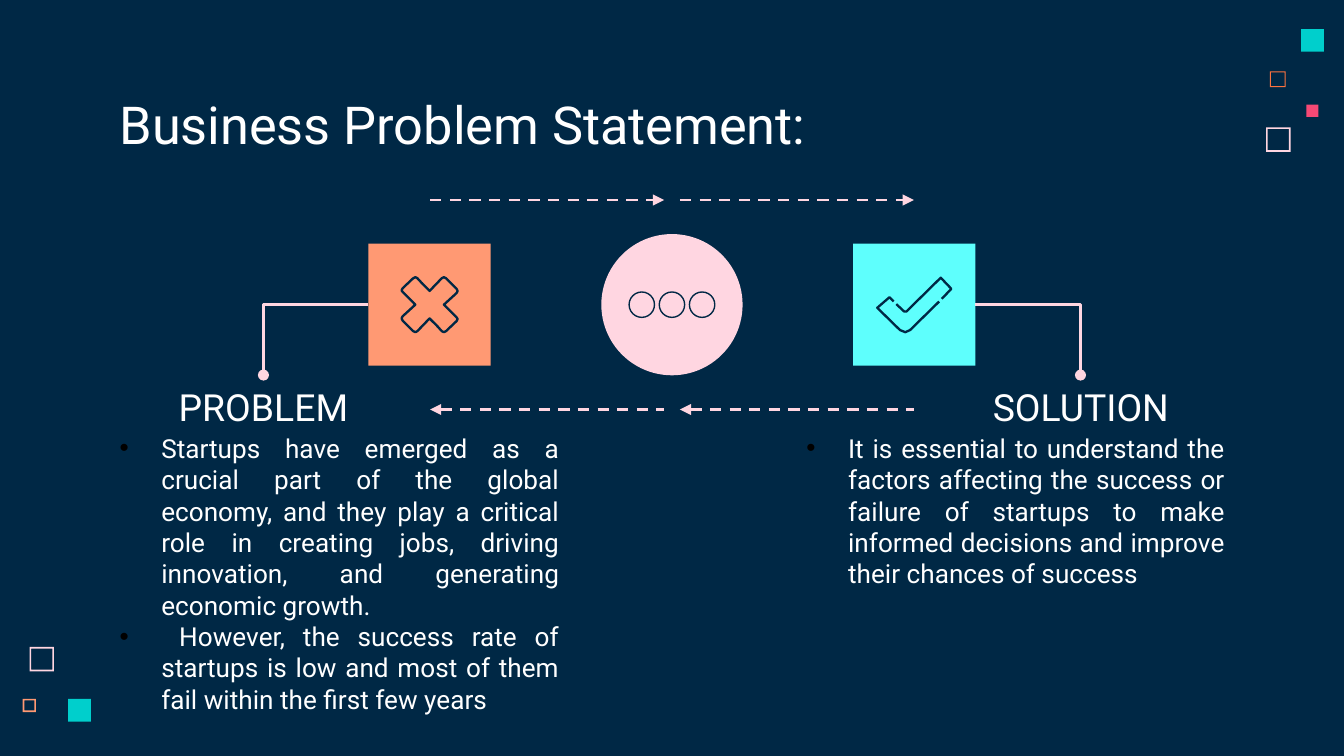
from dataclasses import dataclass

from lxml.etree import SubElement
from pptx import Presentation
from pptx.dml.color import RGBColor
from pptx.enum.dml import MSO_LINE
from pptx.enum.shapes import MSO_CONNECTOR as Link, MSO_SHAPE as Preset
from pptx.enum.text import MSO_ANCHOR as Anchor, MSO_AUTO_SIZE as AutoSize, PP_ALIGN as Align
from pptx.oxml.ns import qn
from pptx.util import Cm, Pt


@dataclass(frozen=True)
class Theme:
    font: str = "Roboto"
    navy: str = "002845"
    white: str = "FFFFFF"
    black: str = "000000"
    pink: str = "FFD6E1"
    coral: str = "FF9973"
    orange: str = "FC723F"
    aqua: str = "5EFFFD"
    teal: str = "00CFCC"
    rose: str = "F64975"
    title_size: float = 28
    heading_size: float = 20
    body_size: float = 14
    flow_line: float = 1.5
    icon_line: float = 1.25
    dot_line: float = 0.75


@dataclass(frozen=True)
class Box:
    left: float
    top: float
    width: float
    height: float

    @property
    def center(self):
        return self.left + self.width / 2, self.top + self.height / 2

    def emu(self):
        return Cm(self.left), Cm(self.top), Cm(self.width), Cm(self.height)


THEME = Theme()
INSET = 0.25
BULLET_INDENT = 0.79
CROSS_HALF = [
    (-0.15, -0.41), (0, -0.26), (0.23, -0.5), (0.27, -0.52), (0.31, -0.5),
    (0.51, -0.3), (0.53, -0.26), (0.51, -0.22), (0.27, 0), (0.51, 0.24),
    (0.53, 0.27), (0.51, 0.31), (0.31, 0.5), (0.27, 0.52), (0.23, 0.5), (0.14, 0.4),
]
CROSS = [CROSS_HALF, [(-x, -y) for x, y in CROSS_HALF]]
CHECK = [
    [(-0.39, -0.06), (-0.47, -0.14), (-0.7, 0.06), (-0.27, 0.48),
     (-0.17, 0.52), (-0.08, 0.48), (0.47, -0.06)],
    [(-0.34, -0.01), (-0.19, 0.13), (-0.15, 0.13), (0.5, -0.51), (0.7, -0.3), (0.52, -0.11)],
]


def rgb(color):
    return RGBColor.from_string(color)


def square_at(x, y, side):
    return Box(x - side / 2, y - side / 2, side, side)


def paint(shape, fill=None, line=None, weight=1):
    shape.shadow.inherit = False
    if fill:
        shape.fill.solid()
        shape.fill.fore_color.rgb = rgb(fill)
    else:
        shape.fill.background()
    if line:
        shape.line.color.rgb = rgb(line)
        shape.line.width = Pt(weight)
    else:
        shape.line.fill.background()


def add_preset(slide, preset, box, **look):
    shape = slide.shapes.add_shape(preset, *box.emu())
    paint(shape, **look)
    return shape


def write(frame, paragraphs, size, color=THEME.white, align=Align.LEFT, anchor=Anchor.TOP, bullet=None):
    frame.word_wrap = True
    frame.auto_size = AutoSize.NONE
    frame.vertical_anchor = anchor
    frame.margin_left = frame.margin_right = frame.margin_top = frame.margin_bottom = Cm(INSET)
    for index, words in enumerate(paragraphs):
        paragraph = frame.add_paragraph() if index else frame.paragraphs[0]
        paragraph.alignment = align
        run = paragraph.add_run()
        run.text = words
        run.font.name = THEME.font
        run.font.size = Pt(size)
        run.font.color.rgb = rgb(color)
        if bullet:
            properties = paragraph._p.get_or_add_pPr()
            properties.set("marL", str(Cm(BULLET_INDENT)))
            properties.set("indent", str(-Cm(BULLET_INDENT)))
            SubElement(SubElement(properties, qn("a:buClr")), qn("a:srgbClr"), val=bullet)
            SubElement(properties, qn("a:buFont"), typeface="Arial")
            SubElement(properties, qn("a:buChar"), char="•")


def add_link(slide, kind, start, end, head=None, tail=None, dashed=False):
    link = slide.shapes.add_connector(kind, *map(Cm, start + end))
    link.line.color.rgb = rgb(THEME.pink)
    link.line.width = Pt(THEME.flow_line)
    if dashed:
        link.line.dash_style = MSO_LINE.DASH
    outline = link.line._get_or_add_ln()
    for tag, tip in (("a:headEnd", head), ("a:tailEnd", tail)):
        if tip:
            SubElement(outline, qn(tag), type=tip)
    properties = link._element.spPr
    SubElement(properties, qn("a:effectLst"))
    if kind == Link.ELBOW:
        properties.find(qn("a:prstGeom")).set("prst", "bentConnector2")


def title_region(slide, box, words):
    title = slide.shapes.title
    title.left, title.top, title.width, title.height = box.emu()
    write(title.text_frame, [words], size=THEME.title_size)


def corner_squares(slide, box, squares):
    for x, y, side, color, rim in squares:
        place = Box(box.left + x, box.top + y, side, side)
        square = add_preset(slide, Preset.FRAME if rim else Preset.RECTANGLE, place, fill=color)
        if rim:
            square.adjustments[0] = rim / side


def icon_tile(slide, box, color, strokes):
    add_preset(slide, Preset.RECTANGLE, box, fill=color)
    x, y = box.center
    for stroke in strokes:
        points = [(Cm(x + dx), Cm(y + dy)) for dx, dy in stroke]
        builder = slide.shapes.build_freeform(*points[0])
        builder.add_line_segments(points[1:], close=False)
        outline = builder.convert_to_shape()
        paint(outline, line=THEME.navy, weight=THEME.icon_line)
        SubElement(outline.line._get_or_add_ln(), qn("a:round"))


def waiting_circle(slide, box):
    add_preset(slide, Preset.OVAL, box, fill=THEME.pink)
    x, y = box.center
    for step in (-1, 0, 1):
        add_preset(slide, Preset.OVAL, square_at(x + step * 0.57, y, 0.48),
                   line=THEME.navy, weight=THEME.dot_line)


def flow_diagram(slide, box):
    x, y = box.center
    tile_side, tile_offset, arrow_length, arrow_gap, drop = 2.31, 4.58, 4.42, 0.15, 1.33
    for row, tips in ((box.top, {"tail": "triangle"}), (box.top + box.height, {"head": "triangle"})):
        for start in (x - arrow_gap - arrow_length, x + arrow_gap):
            add_link(slide, Link.STRAIGHT, (start, row), (start + arrow_length, row), dashed=True, **tips)
    waiting_circle(slide, square_at(x, y, 2.67))
    for side, color, strokes in ((-1, THEME.coral, CROSS), (1, THEME.aqua, CHECK)):
        icon_tile(slide, square_at(x + side * tile_offset, y, tile_side), color, strokes)
        edge = x + side * (tile_offset + tile_side / 2)
        add_link(slide, Link.ELBOW, (edge, y), (x + side * box.width / 2, y + drop), tail="oval")


def statement_column(slide, box, heading, points, heading_on_right=False):
    heading_width, heading_height, body_offset = 5.94, 1.27, 0.83
    heading_left = box.left + (box.width - heading_width if heading_on_right else 0)
    heading_box = Box(heading_left, box.top, heading_width, heading_height)
    body_box = Box(box.left, box.top + body_offset, box.width, box.height - body_offset)
    write(slide.shapes.add_textbox(*heading_box.emu()).text_frame, [heading],
          size=THEME.heading_size, align=Align.CENTER, anchor=Anchor.BOTTOM)
    write(slide.shapes.add_textbox(*body_box.emu()).text_frame, points,
          size=THEME.body_size, align=Align.JUSTIFY, bullet=THEME.black)


def main():
    deck = Presentation()
    deck.slide_width, deck.slide_height = Cm(25.4), Cm(14.29)
    slide = deck.slides.add_slide(deck.slide_layouts[5])
    slide.background.fill.solid()
    slide.background.fill.fore_color.rgb = rgb(THEME.navy)

    corner_squares(slide, Box(23.93, 0.55, 1.09, 2.33), [
        (0, 1.86, 0.46, THEME.pink, 0.03),
        (0.07, 0.8, 0.3, THEME.orange, 0.02),
        (0.66, 0, 0.43, THEME.teal, 0),
        (0.76, 1.43, 0.23, THEME.rose, 0),
    ])
    corner_squares(slide, Box(0.43, 12.23, 1.3, 1.41), [
        (0, 0.98, 0.25, THEME.coral, 0.03),
        (0.13, 0, 0.46, THEME.pink, 0.03),
        (0.86, 0.98, 0.43, THEME.teal, 0),
    ])
    title_region(slide, Box(2.01, 1.5, 21.4, 1.6), "Business Problem Statement:")
    flow_diagram(slide, Box(4.98, 3.78, 15.44, 3.96))
    statement_column(slide, Box(2.01, 7.09, 8.81, 4.08), "PROBLEM", [
        "Startups have emerged as a crucial part of the global economy, and they play a critical role "
        "in creating jobs, driving innovation, and generating economic growth.",
        " However, the success rate of startups is low and most of them fail within the first few years",
    ])
    statement_column(slide, Box(14.99, 7.09, 8.41, 6.39), "SOLUTION", [
        "It is essential to understand the factors affecting the success or failure of startups to make "
        "informed decisions and improve their chances of success",
    ], heading_on_right=True)
    deck.save("out.pptx")


if __name__ == "__main__":
    main()
